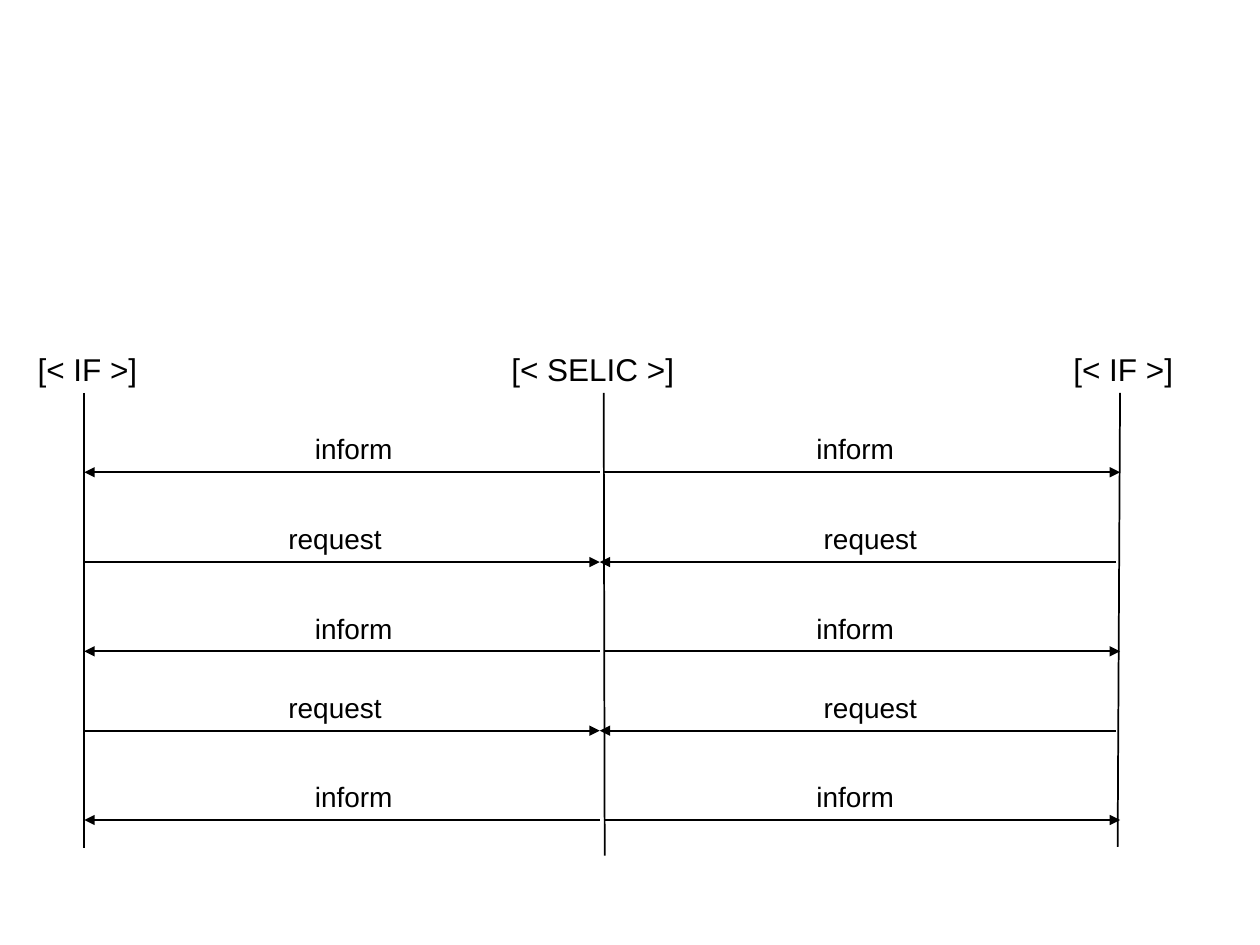
from lxml.etree import SubElement
from pptx import Presentation
from pptx.dml.color import RGBColor
from pptx.enum.shapes import MSO_CONNECTOR
from pptx.enum.text import MSO_AUTO_SIZE, PP_ALIGN
from pptx.oxml.ns import qn
from pptx.util import Cm, Pt

COLORS = {"ink": "000000"}
INK = RGBColor.from_string(COLORS["ink"])
FRAME_FORMAT = {
    "word_wrap": False,
    "auto_size": MSO_AUTO_SIZE.SHAPE_TO_FIT_TEXT,
    "margin_left": Cm(0.2),
    "margin_right": Cm(0.2),
    "margin_top": Cm(0.13),
    "margin_bottom": Cm(0.13),
}

HEADING_TOP, HEADING_HEIGHT = 6.93, 1.02
LIFELINE_TOP = 7.92
LABEL_HEIGHT = 0.94

PARTICIPANTS = [
    ("[< IF >]", 0.51, 2.51, 1.7, 1.7, 17.09),
    ("[< SELIC >]", 10.06, 3.78, 12.17, 12.19, 17.25),
    ("[< IF >]", 21.39, 2.51, 22.58, 22.53, 17.07),
]
MESSAGE_PAIRS = {
    "inform": [(12.09, 1.7, 6.1, 2.06), (12.17, 22.58, 16.21, 2.06)],
    "request": [(1.7, 12.09, 5.56, 2.39), (22.5, 12.09, 16.35, 2.39)],
}
EXCHANGES = [
    ("inform", 9.52),
    ("request", 11.33),
    ("inform", 13.13),
    ("request", 14.73),
    ("inform", 16.53),
]


def apply_format(target, values):
    for attribute, value in values.items():
        setattr(target, attribute, value)


def add_caption(slide, wording, left, top, width, height, size):
    caption = slide.shapes.add_textbox(Cm(left), Cm(top), Cm(width), Cm(height))
    apply_format(caption.text_frame, FRAME_FORMAT)
    paragraph = caption.text_frame.paragraphs[0]
    paragraph.alignment = PP_ALIGN.CENTER
    run = paragraph.add_run()
    run.text = wording
    apply_format(run.font, {"name": "Arial", "size": Pt(size)})
    run.font.color.rgb = INK


def add_line(slide, start_x, start_y, end_x, end_y, arrow=False):
    line = slide.shapes.add_connector(
        MSO_CONNECTOR.STRAIGHT, Cm(start_x), Cm(start_y), Cm(end_x), Cm(end_y)
    )
    line.line.width = Pt(1)
    line.line.color.rgb = INK
    if arrow:
        SubElement(line.line._get_or_add_ln(), qn("a:tailEnd"), type="triangle")
    SubElement(line._element.spPr, qn("a:effectLst"))


def add_participant(slide, role, left, width, top_x, bottom_x, bottom):
    add_caption(slide, role, left, HEADING_TOP, width, HEADING_HEIGHT, 18)
    add_line(slide, top_x, LIFELINE_TOP, bottom_x, bottom)


def add_message(slide, wording, y, sender_x, receiver_x, label_left, label_width):
    add_line(slide, sender_x, y, receiver_x, y, arrow=True)
    add_caption(
        slide, wording, label_left, y - LABEL_HEIGHT, label_width, LABEL_HEIGHT, 16
    )


def main():
    presentation = Presentation()
    presentation.slide_width = Cm(25.4)
    presentation.slide_height = Cm(19.05)
    slide = presentation.slides.add_slide(presentation.slide_layouts[6])
    for participant in PARTICIPANTS:
        add_participant(slide, *participant)
    for wording, y in EXCHANGES:
        for message in MESSAGE_PAIRS[wording]:
            add_message(slide, wording, y, *message)
    presentation.save("out.pptx")


if __name__ == "__main__":
    main()
